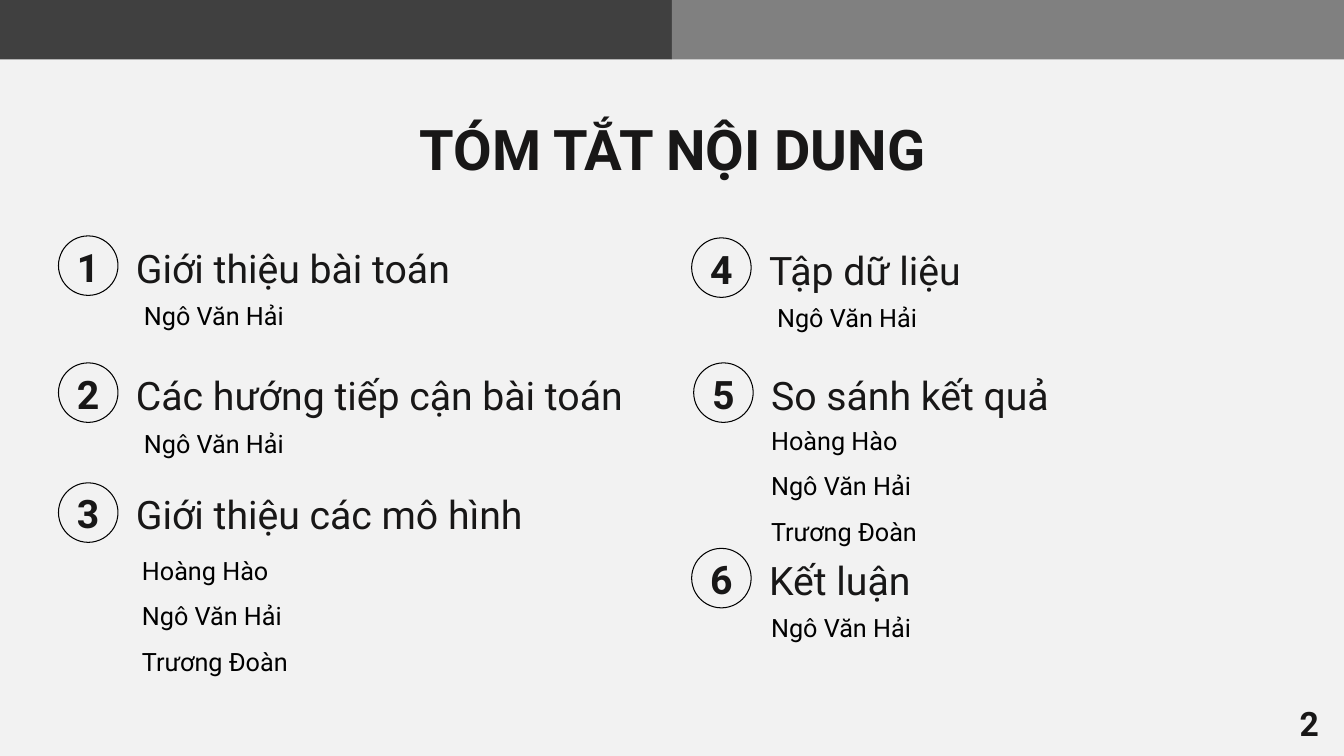
from pptx import Presentation
from pptx.dml.color import RGBColor
from pptx.enum.shapes import MSO_SHAPE
from pptx.enum.text import MSO_ANCHOR, MSO_AUTO_SIZE, PP_ALIGN
from pptx.util import Inches, Pt

RECT, OVAL = MSO_SHAPE.RECTANGLE, MSO_SHAPE.OVAL
LEFT, CENTER, RIGHT = PP_ALIGN.LEFT, PP_ALIGN.CENTER, PP_ALIGN.RIGHT
TOP, MIDDLE = MSO_ANCHOR.TOP, MSO_ANCHOR.MIDDLE
FIT_SHAPE = MSO_AUTO_SIZE.SHAPE_TO_FIT_TEXT

FONT = "Roboto"
COLORS = {
    "background": "F2F2F2",
    "dark_band": "404040",
    "light_band": "808080",
    "heading": "181717",
    "black": "000000",
}
SLIDE_W, SLIDE_H = 13.33, 7.5
BAND_H = 0.59
CIRCLE = 0.59

HAI = ["Ngô Văn Hải"]
TEAM = ["Hoàng Hào", "Ngô Văn Hải", "Trương Đoàn"]

# Circle left, circle top, heading, heading width, speakers, speakers' left and top
TOPICS = [
    (0.58, 2.34, "Giới thiệu bài toán", 3.6, HAI, 1.33, 2.93),
    (0.58, 3.6, "Các hướng tiếp cận bài toán", 5.22, HAI, 1.33, 4.2),
    (0.58, 4.79, "Giới thiệu các mô hình", 4.27, TEAM, 1.31, 5.31),
    (6.86, 2.36, "Tập dữ liệu", 3.88, HAI, 7.61, 2.95),
    (6.88, 3.6, "So sánh kết quả", 5.31, TEAM, 7.55, 4.02),
    (6.86, 5.44, "Kết luận", 3.88, HAI, 7.55, 6.03),
]


def rgb(name):
    return RGBColor.from_string(COLORS[name])


def add_band(s, x, color):
    band = s.shapes.add_shape(RECT, Inches(x), Inches(0),
                              Inches(SLIDE_W / 2), Inches(BAND_H))
    band.shadow.inherit = False
    band.fill.solid()
    band.fill.fore_color.rgb = rgb(color)
    band.line.fill.background()


def add_text(shapes, x, y, w, h, lines, size, color="heading", bold=False,
             align=LEFT, anchor=TOP, wrap=True, spacing=None):
    tb = shapes.add_textbox(Inches(x), Inches(y), Inches(w), Inches(h))
    tf = tb.text_frame
    tf.word_wrap = wrap
    tf.auto_size = FIT_SHAPE if anchor == TOP else MSO_AUTO_SIZE.NONE
    tf.vertical_anchor = anchor
    for i, line in enumerate(lines):
        p = tf.add_paragraph() if i else tf.paragraphs[0]
        p.alignment = align
        if spacing:
            p.line_spacing = spacing
        r = p.add_run()
        r.text = line
        r.font.name = FONT
        r.font.size = Pt(size)
        r.font.bold = bold
        r.font.color.rgb = rgb(color)


def add_badge(s, x, y, number):
    group = s.shapes.add_group_shape()
    add_text(group.shapes, x + 0.08, y + 0.02, 0.43, 0.56, [str(number)], 28,
             bold=True, align=CENTER)
    ring = group.shapes.add_shape(OVAL, Inches(x), Inches(y),
                                  Inches(CIRCLE), Inches(CIRCLE))
    ring.shadow.inherit = False
    ring.fill.background()
    ring.line.color.rgb = rgb("black")
    ring.line.width = Pt(0.75)


def add_speakers(s, x, y, names):
    several = len(names) > 1
    w, h = (1.67, 1.41) if several else (1.63, 0.4)
    add_text(s.shapes, x, y, w, h, names, 18, color="black", wrap=False,
             spacing=1.5 if several else None)


def main():
    prs = Presentation()
    prs.slide_width, prs.slide_height = Inches(SLIDE_W), Inches(SLIDE_H)
    s = prs.slides.add_slide(prs.slide_layouts[6])
    s.background.fill.solid()
    s.background.fill.fore_color.rgb = rgb("background")

    # Top bands and title
    add_band(s, 0, "dark_band")
    add_band(s, SLIDE_W / 2, "light_band")
    add_text(s.shapes, 3.44, 1.09, 6.46, 0.76, ["TÓM TẮT NỘI DUNG"], 40,
             bold=True, align=CENTER)

    # Numbered topics with their speakers
    for number, topic in enumerate(TOPICS, 1):
        x, y, heading, width, names, names_x, names_y = topic
        add_badge(s, x, y, number)
        add_text(s.shapes, x + 0.67, y + 0.03, width, 0.56, [heading], 28)
        add_speakers(s, names_x, names_y, names)

    # Page number
    add_text(s.shapes, 10.18, 6.97, 3, 0.4, ["2"], 24, bold=True,
             align=RIGHT, anchor=MIDDLE)

    prs.save("out.pptx")


if __name__ == "__main__":
    main()
